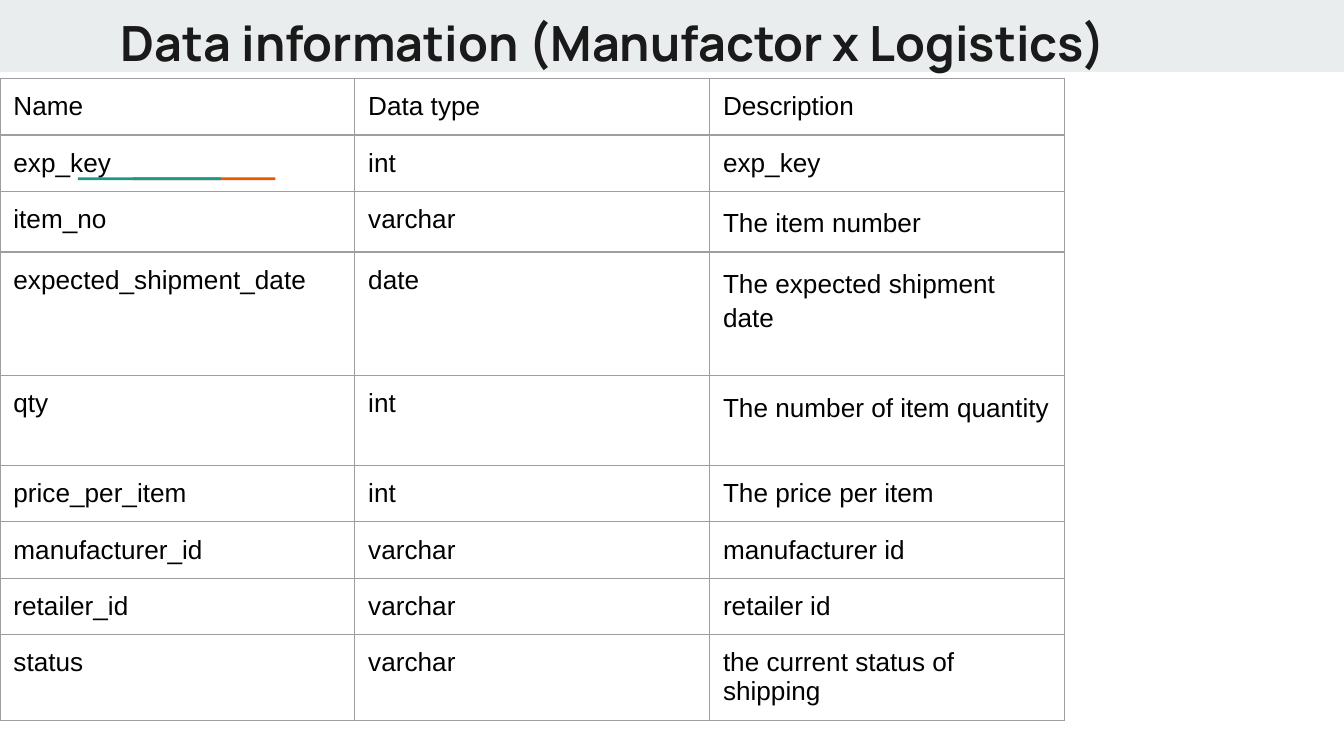
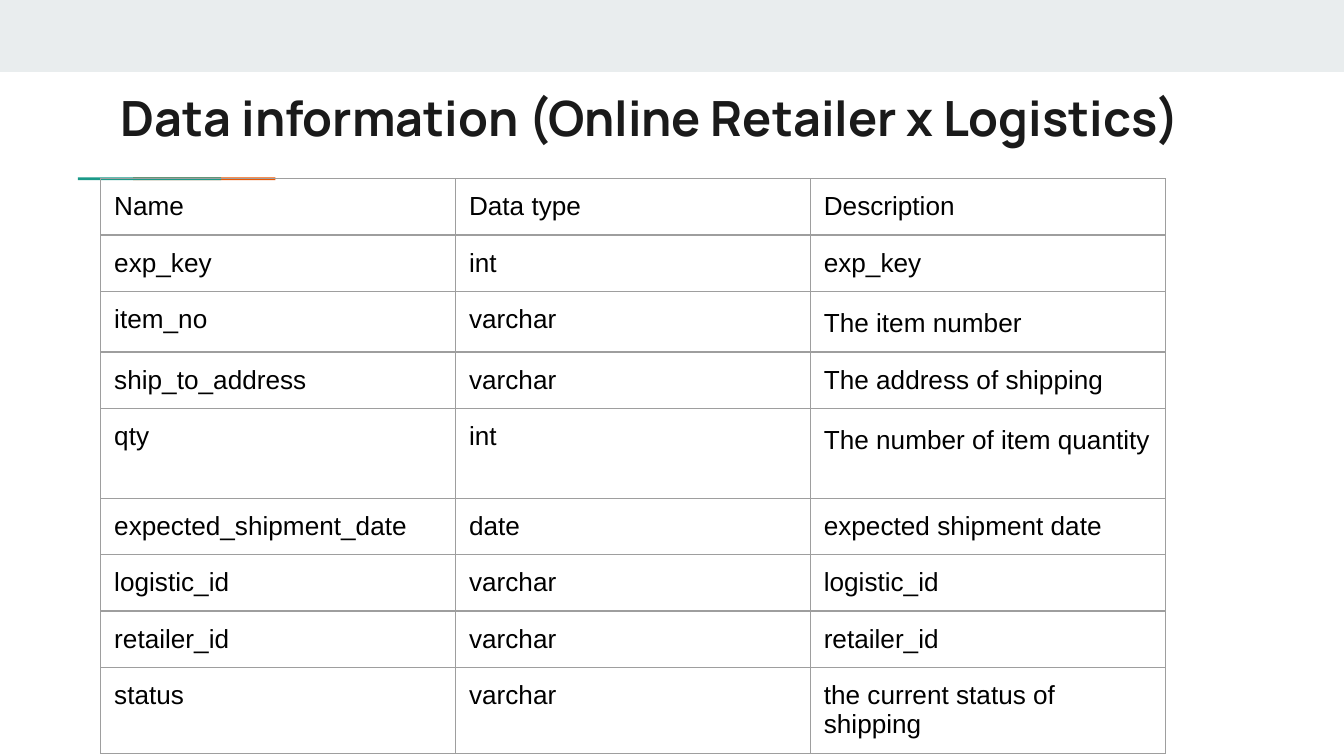
from dataclasses import dataclass

from lxml import etree
from pptx import Presentation
from pptx import util as u
from pptx.dml import color as dml
from pptx.enum import shapes, text
from pptx.oxml import ns

EMU_PER_PX = 4572
PAGE_WIDTH = 2000
PAGE_HEIGHT = 1125
INSET = 20
COLUMN_WIDTH = 528
ROW_HEIGHT = 83
INK = "1A1A1A"
BLACK = "000000"
GRID = "9E9E9E"
HEADER = ("Name", "Data type", "Description")


@dataclass(frozen=True)
class Bar:
    left: int
    top: int
    width: int
    height: int
    fill: str


@dataclass(frozen=True)
class Field:
    name: str
    data_type: str
    description: str
    height: int = ROW_HEIGHT
    spacing: float = 1.0


@dataclass(frozen=True)
class Schema:
    title: str
    title_top: int
    left: int
    top: int
    fields: tuple[Field, ...]


BARS = (
    Bar(0, 0, PAGE_WIDTH, 107, "E9EDEE"),
    Bar(198, 264, 212, 4, "EB5600"),
    Bar(116, 264, 213, 4, "1A9988"),
)

EXP_KEY = Field("exp_key", "int", "exp_key")
ITEM_NO = Field("item_no", "varchar", "The item number", 90, 1.15)
QUANTITY = Field("qty", "int", "The number of item quantity", 134, 1.15)
STATUS = Field("status", "varchar", "the current status of shipping", 128)

SCHEMAS = (
    Schema("Data information (Manufactor x Logistics)", 0, 0, 117, (
        EXP_KEY,
        ITEM_NO,
        Field("expected_shipment_date", "date", "The expected shipment date", 184, 1.15),
        QUANTITY,
        Field("price_per_item", "int", "The price per item"),
        Field("manufacturer_id", "varchar", "manufacturer id"),
        Field("retailer_id", "varchar", "retailer id"),
        STATUS,
    )),
    Schema("Data information (Online Retailer x Logistics)", 111, 150, 266, (
        EXP_KEY,
        ITEM_NO,
        Field("ship_to_address", "varchar", "The address of shipping"),
        QUANTITY,
        Field("expected_shipment_date", "date", "expected shipment date"),
        Field("logistic_id", "varchar", "logistic_id"),
        Field("retailer_id", "varchar", "retailer_id"),
        STATUS,
    )),
)


def px(length: int) -> u.Emu:
    return u.Emu(length * EMU_PER_PX)


def rgb(value: str) -> dml.RGBColor:
    return dml.RGBColor.from_string(value)


def write(frame, content: str, *, size: int, font: str, color: str,
          bold: bool = False, spacing: float = 1.0) -> None:
    frame.word_wrap = True
    para = frame.paragraphs[0]
    para.alignment = text.PP_ALIGN.LEFT
    para.line_spacing = spacing
    span = para.add_run()
    span.text = content
    span.font.size = u.Pt(size)
    span.font.name = font
    span.font.bold = bold
    span.font.color.rgb = rgb(color)


def set_insets(target) -> None:
    for side in ("left", "top", "right", "bottom"):
        setattr(target, f"margin_{side}", px(INSET))


def add_bar(page, bar: Bar):
    box = page.shapes.add_shape(shapes.MSO_SHAPE.RECTANGLE, px(bar.left), px(bar.top),
                                px(bar.width), px(bar.height))
    box.shadow.inherit = False
    box.fill.solid()
    box.fill.fore_color.rgb = rgb(bar.fill)
    box.line.fill.background()
    return box


def decorate_layout(page) -> None:
    tree = page.slide_layout.shapes._spTree
    for bar in BARS:
        tree.append(add_bar(page, bar)._element)


def add_borders(cell) -> None:
    properties = cell._tc.get_or_add_tcPr()
    for side in ("lnL", "lnR", "lnT", "lnB"):
        line = etree.SubElement(properties, ns.qn(f"a:{side}"), w=str(int(u.Pt(0.75))))
        fill = etree.SubElement(line, ns.qn("a:solidFill"))
        etree.SubElement(fill, ns.qn("a:srgbClr"), val=GRID)


def add_title(page, schema: Schema) -> None:
    title = page.shapes.title
    title.left, title.top = px(160), px(schema.title_top)
    title.width, title.height = px(1682), px(118)
    frame = title.text_frame
    frame.auto_size = text.MSO_AUTO_SIZE.NONE
    frame.vertical_anchor = text.MSO_ANCHOR.TOP
    set_insets(frame)
    write(frame, schema.title, size=26, font="Manrope", color=INK, bold=True)


def add_schema_table(page, schema: Schema) -> None:
    rows = (Field(*HEADER), *schema.fields)
    table = page.shapes.add_table(
        len(rows), len(HEADER), px(schema.left), px(schema.top),
        px(COLUMN_WIDTH * len(HEADER)), px(sum(row.height for row in rows))).table
    table.first_row = False
    table.horz_banding = False
    for column in table.columns:
        column.width = px(COLUMN_WIDTH)
    for index, row in enumerate(rows):
        table.rows[index].height = px(row.height)
        entries = ((row.name, 1.0), (row.data_type, 1.0), (row.description, row.spacing))
        for cell, (content, spacing) in zip(table.rows[index].cells, entries):
            set_insets(cell)
            add_borders(cell)
            cell.fill.background()
            write(cell.text_frame, content, size=14, font="Arial", color=BLACK, spacing=spacing)


def main() -> None:
    deck = Presentation()
    deck.slide_width, deck.slide_height = px(PAGE_WIDTH), px(PAGE_HEIGHT)
    layout = deck.slide_layouts[5]
    for index, schema in enumerate(SCHEMAS):
        page = deck.slides.add_slide(layout)
        if index == 0:
            decorate_layout(page)
        add_title(page, schema)
        add_schema_table(page, schema)
    deck.save("out.pptx")


if __name__ == "__main__":
    main()
